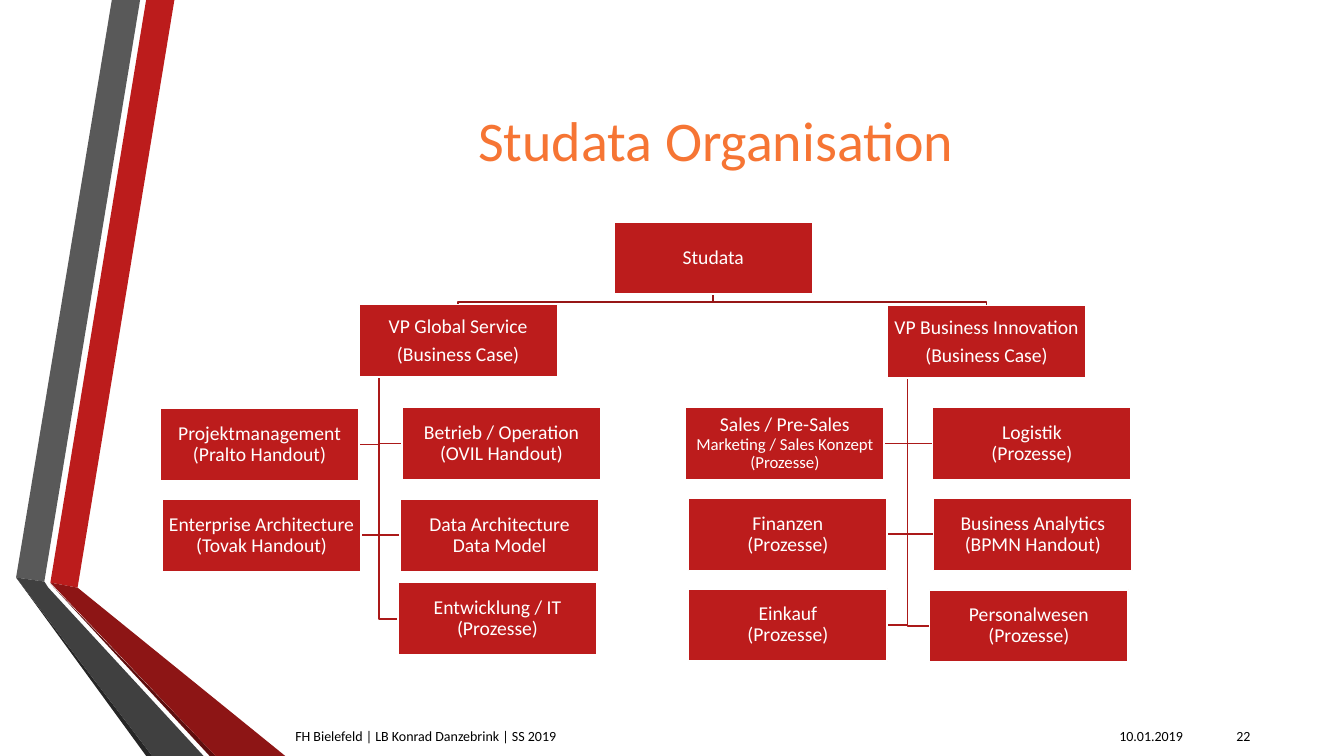
from dataclasses import dataclass

from pptx import Presentation
from pptx.dml.color import RGBColor
from pptx.enum.shapes import MSO_SHAPE
from pptx.enum.text import MSO_ANCHOR, PP_ALIGN
from pptx.util import Inches, Pt

RECT = MSO_SHAPE.RECTANGLE
MIDDLE = MSO_ANCHOR.MIDDLE
LEFT, CENTER, RIGHT = PP_ALIGN.LEFT, PP_ALIGN.CENTER, PP_ALIGN.RIGHT

TITLE = "Studata Organisation"
TITLE_AT = (1.62, 0.75, 10.96, 1.25)

# text, left, width, alignment
FOOTER = [
    ("10.01.2019", 10.58, 1.25, RIGHT),
    ("FH Bielefeld | LB Konrad Danzebrink | SS 2019", 2.83, 7.75, LEFT),
    ("22", 11.9, 0.6, RIGHT),
]

# lines, left, top
ROOT = (["Studata"], 6.09, 2.2)
BRANCHES = [
    ((["VP Global Service", "(Business Case)"], 3.56, 3.02), [
        (["Projektmanagement", "(Pralto Handout)"], 1.59, 4.05),
        (["Betrieb / Operation", "(OVIL Handout)"], 3.99, 4.04),
        (["Enterprise Architecture", "(Tovak Handout)"], 1.61, 4.95),
        (["Data Architecture", "Data Model"], 3.97, 4.95),
        (["Entwicklung / IT", "(Prozesse)"], 3.95, 5.78),
    ]),
    ((["VP Business Innovation", "(Business Case)"], 8.8, 3.03), [
        (["Sales / Pre-Sales", "Marketing / Sales Konzept", "(Prozesse)"], 6.8, 4.04),
        (["Logistik", "(Prozesse)"], 9.25, 4.04),
        (["Finanzen", "(Prozesse)"], 6.83, 4.94),
        (["Business Analytics", "(BPMN Handout)"], 9.26, 4.94),
        (["Einkauf", "(Prozesse)"], 6.83, 5.84),
        (["Personalwesen", "(Prozesse)"], 9.22, 5.85),
    ]),
]
BOX_W, BOX_H = 1.97, 0.72
SPINE = 0.2  # from the left edge of a branch head
BUS = 3.0    # height of the line that joins the branches


@dataclass(frozen=True)
class Theme:
    font: str = "Calibri"
    red: str = "BC1C1C"
    wine: str = "8D1515"
    maroon: str = "5E0E0E"
    gray: str = "595959"
    coal: str = "404040"
    black: str = "262626"
    ink: str = "000000"
    white: str = "FFFFFF"
    orange: str = "F67534"
    stem: str = "971616"
    twig: str = "AB1919"
    title: int = 40
    body: int = 14
    small: int = 12
    foot: int = 10
    line: float = 1.25
    gap: float = 4.9


T = Theme()

RIBBONS = [
    (T.red, [(0.5, 5.78), (0.77, 5.83), (1.73, 0), (1.45, 0)]),
    (T.gray, [(1.39, 0), (1.11, 0), (0.16, 5.73), (0.44, 5.77)]),
    (T.black, [(0.16, 5.73), (1.45, 7.5), (1.51, 7.5)]),
    (T.maroon, [(0.5, 5.79), (2.08, 7.5), (2.14, 7.5)]),
    (T.wine, [(0.5, 5.78), (2.14, 7.5), (2.83, 7.5), (0.77, 5.83)]),
    (T.coal, [(2.02, 7.5), (0.48, 5.83), (0.44, 5.77), (0.16, 5.73), (1.51, 7.5)]),
]


def rgb(code):
    return RGBColor.from_string(code)


def outline(shapes, points, close):
    (x, y), *rest = [(Inches(x), Inches(y)) for x, y in points]
    form = shapes.build_freeform(x, y)
    form.add_line_segments(rest, close=close)
    shape = form.convert_to_shape()
    shape.shadow.inherit = False
    return shape


def ribbon(shapes, color, points):
    shape = outline(shapes, points, True)
    shape.fill.solid()
    shape.fill.fore_color.rgb = rgb(color)
    shape.line.fill.background()


def link(shapes, color, points):
    shape = outline(shapes, points, False)
    shape.fill.background()
    shape.line.color.rgb = rgb(color)
    shape.line.width = Pt(T.line)


def style(para, size, color, align):
    para.alignment = align
    para.font.name = T.font
    para.font.size = Pt(size)
    para.font.color.rgb = rgb(color)


def box(shapes, node, gap=0):
    lines, x, y = node
    shape = shapes.add_shape(RECT, *map(Inches, (x, y, BOX_W, BOX_H)))
    shape.shadow.inherit = False
    shape.fill.solid()
    shape.fill.fore_color.rgb = rgb(T.red)
    shape.line.color.rgb = rgb(T.white)
    shape.line.width = Pt(T.line)
    frame = shape.text_frame
    frame.word_wrap = True
    frame.vertical_anchor = MIDDLE
    frame.margin_left = frame.margin_right = Inches(0.01)
    frame.margin_top = frame.margin_bottom = Inches(0.01)
    frame.text = "\n".join(lines)
    for i, para in enumerate(frame.paragraphs):
        size = T.small if i and len(lines) > 2 else T.body
        style(para, size, T.white, CENTER)
        para.line_spacing = 0.9
        para.space_before = Pt(0)
        para.space_after = Pt(gap)


def label(shapes, text, x, width, align):
    shape = shapes.add_textbox(*map(Inches, (x, 7.1, width, 0.4)))
    frame = shape.text_frame
    frame.word_wrap = True
    frame.vertical_anchor = MIDDLE
    frame.text = text
    style(frame.paragraphs[0], T.foot, T.ink, align)


def heading(shape):
    shape.left, shape.top, shape.width, shape.height = map(Inches, TITLE_AT)
    frame = shape.text_frame
    frame.text = TITLE
    frame.vertical_anchor = MIDDLE
    style(frame.paragraphs[0], T.title, T.orange, CENTER)


def chart(shapes):
    """Draw all links first, so that the boxes lie over them."""
    _, left, top = ROOT
    stem = left + BOX_W / 2
    for head, leaves in BRANCHES:
        _, x, y = head
        mid = x + BOX_W / 2
        link(shapes, T.stem, [(stem, top + BOX_H), (stem, BUS), (mid, BUS), (mid, y)])
        spine = x + SPINE
        for _, leaf, row in leaves:
            edge = leaf if leaf > spine else leaf + BOX_W
            level = row + BOX_H / 2
            link(shapes, T.twig, [(spine, y + BOX_H), (spine, level), (edge, level)])
    box(shapes, ROOT, T.gap)
    for head, leaves in BRANCHES:
        box(shapes, head, T.gap)
        for leaf in leaves:
            box(shapes, leaf)


def main():
    deck = Presentation()
    deck.slide_width, deck.slide_height = Inches(13.33), Inches(7.5)
    slide = deck.slides.add_slide(deck.slide_layouts[5])
    shapes = slide.shapes
    for color, points in RIBBONS:
        ribbon(shapes, color, points)
    heading(shapes.title)
    for entry in FOOTER:
        label(shapes, *entry)
    chart(shapes)
    deck.save("out.pptx")


if __name__ == "__main__":
    main()
